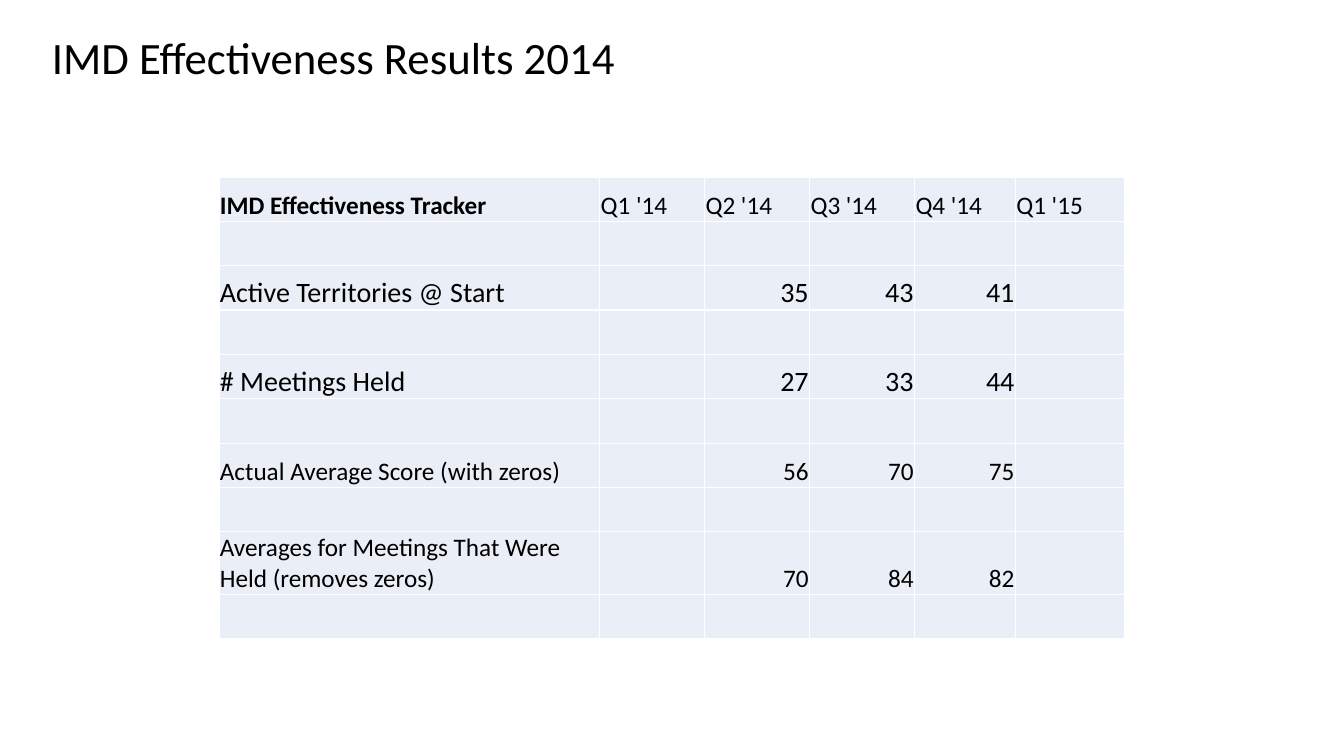
from dataclasses import dataclass

from lxml import etree
from pptx import Presentation
from pptx.dml.color import RGBColor
from pptx.enum.text import MSO_ANCHOR, MSO_AUTO_SIZE, PP_ALIGN
from pptx.oxml.ns import qn
from pptx.util import Pt

BOTTOM = MSO_ANCHOR.BOTTOM
LEFT, RIGHT = PP_ALIGN.LEFT, PP_ALIGN.RIGHT
FIT_SHAPE = MSO_AUTO_SIZE.SHAPE_TO_FIT_TEXT


@dataclass(frozen=True)
class Theme:
    font: str = "Calibri"
    text: str = "000000"
    cell: str = "EAEFF7"
    border: str = "FFFFFF"
    title_size: int = 32
    large_size: int = 20
    body_size: int = 18


THEME = Theme()

QUARTERS = ["Q1 '14", "Q2 '14", "Q3 '14", "Q4 '14", "Q1 '15"]
# Label, values for Q2 to Q4, type size
MEASURES = [
    ("Active Territories @ Start", [35, 43, 41], THEME.large_size),
    ("# Meetings Held", [27, 33, 44], THEME.large_size),
    ("Actual Average Score (with zeros)", [56, 70, 75], THEME.body_size),
    ("Averages for Meetings That Were Held (removes zeros)",
     [70, 84, 82], THEME.body_size),
]
COL_WIDTHS = [272, 75, 75, 75, 72, 78]
ROW_HEIGHT, TALL_ROW_HEIGHT = 31.7, 44.4


def style_paragraph(p, size, bold=False, align=LEFT):
    p.alignment = align
    p.font.name = THEME.font
    p.font.size = Pt(size)
    p.font.bold = bold
    p.font.color.rgb = RGBColor.from_string(THEME.text)


def add_title(s, text, left, top, width, height):
    tf = s.shapes.add_textbox(Pt(left), Pt(top), Pt(width), Pt(height)).text_frame
    tf.word_wrap = True
    tf.auto_size = FIT_SHAPE
    tf.text = text
    style_paragraph(tf.paragraphs[0], THEME.title_size)


def set_borders(cell):
    tc_pr = cell._tc.get_or_add_tcPr()
    for side in ("lnL", "lnR", "lnT", "lnB"):
        ln = etree.SubElement(tc_pr, qn(f"a:{side}"), w=str(Pt(1)))
        fill = etree.SubElement(ln, qn("a:solidFill"))
        etree.SubElement(fill, qn("a:srgbClr"), val=THEME.border)


def style_cell(cell):
    set_borders(cell)
    cell.fill.solid()
    cell.fill.fore_color.rgb = RGBColor.from_string(THEME.cell)
    cell.vertical_anchor = BOTTOM
    cell.margin_left = cell.margin_right = cell.margin_top = Pt(0.7)
    cell.margin_bottom = Pt(0)


def write_cell(cell, text, size, bold=False, align=LEFT):
    cell.text = str(text)
    style_paragraph(cell.text_frame.paragraphs[0], size, bold, align)


def add_tracker(s, left, top):
    # Each heading or measure is followed by an empty row
    n_rows = 2 * (len(MEASURES) + 1)
    heights = [ROW_HEIGHT] * n_rows
    heights[-2] = TALL_ROW_HEIGHT
    table = s.shapes.add_table(
        n_rows, len(COL_WIDTHS), Pt(left), Pt(top),
        Pt(sum(COL_WIDTHS)), Pt(sum(heights))).table
    table.first_row = table.horz_banding = False
    for col, width in zip(table.columns, COL_WIDTHS):
        col.width = Pt(width)
    for row, height in zip(table.rows, heights):
        row.height = Pt(height)
    for cell in table.iter_cells():
        style_cell(cell)

    # Heading row
    write_cell(table.cell(0, 0), "IMD Effectiveness Tracker", THEME.body_size, bold=True)
    for c, quarter in enumerate(QUARTERS, 1):
        write_cell(table.cell(0, c), quarter, THEME.body_size)

    # Measures
    for i, (label, values, size) in enumerate(MEASURES, 1):
        write_cell(table.cell(2 * i, 0), label, size)
        for c, value in enumerate(values, 2):
            write_cell(table.cell(2 * i, c), value, size, align=RIGHT)


def main():
    prs = Presentation()
    prs.slide_width, prs.slide_height = Pt(960), Pt(540)
    s = prs.slides.add_slide(prs.slide_layouts[6])
    add_tracker(s, 156.4, 126.4)
    add_title(s, "IMD Effectiveness Results 2014", 30, 18, 568, 46)
    prs.save("out.pptx")


main()
